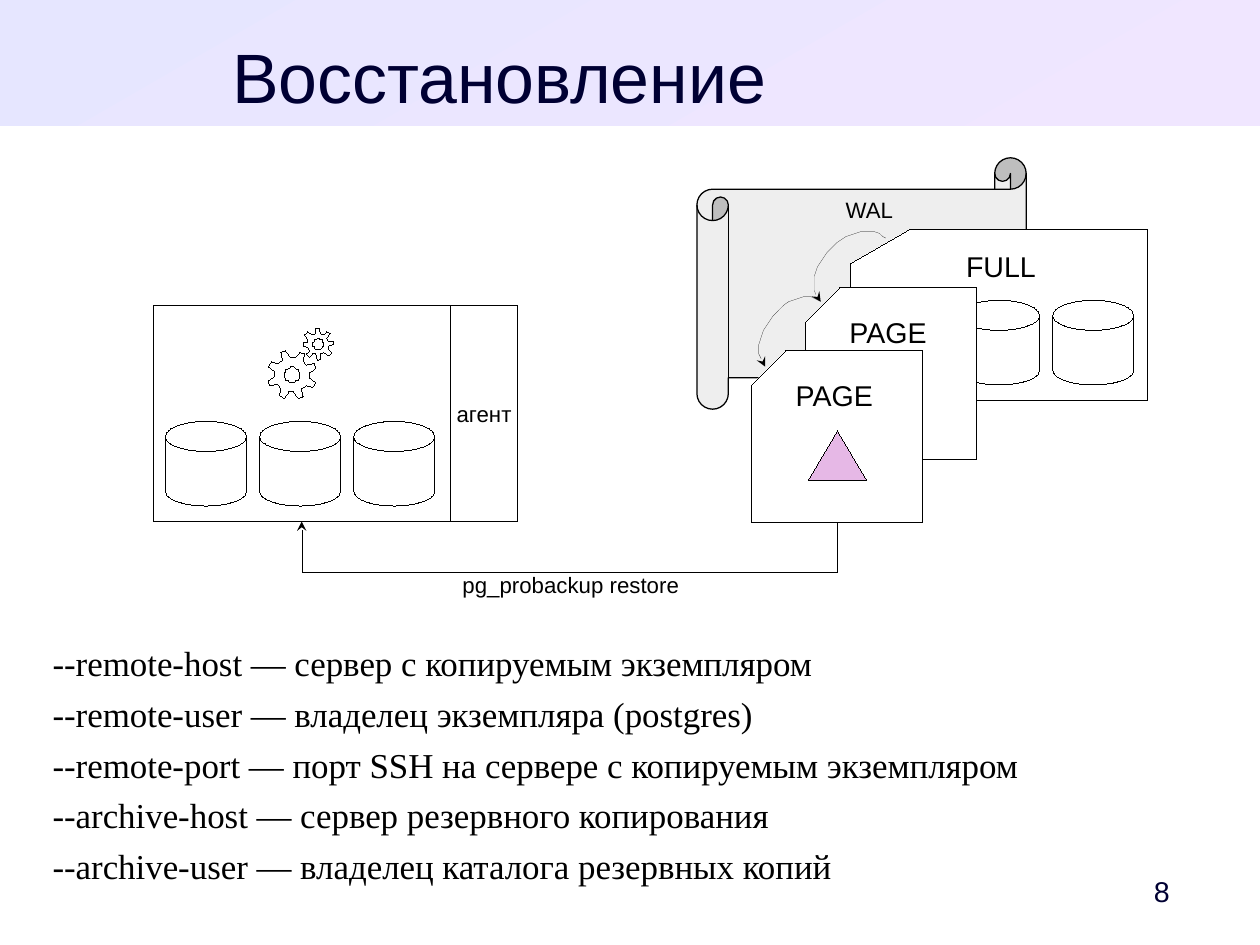
import math
from dataclasses import dataclass

import pptx
import pptx.dml.color
import pptx.enum.dml
import pptx.enum.shapes
import pptx.enum.text
import pptx.oxml
import pptx.oxml.ns
import pptx.util

Pt = pptx.util.Pt
RGBColor = pptx.dml.color.RGBColor
SHAPE = pptx.enum.shapes.MSO_SHAPE
ALIGN = pptx.enum.text.PP_ALIGN
ANCHOR = pptx.enum.text.MSO_ANCHOR

BLACK = RGBColor(0x00, 0x00, 0x00)
WHITE = RGBColor(0xFF, 0xFF, 0xFF)
NAVY = RGBColor(0x00, 0x00, 0x33)
PAPER = RGBColor(0xEE, 0xEE, 0xEE)
PINK = RGBColor(0xE6, 0xB8, 0xE6)
BAND_COLORS = (RGBColor(0xE6, 0xE6, 0xFF), RGBColor(0xF0, 0xE6, 0xFF))
SLIDE_WIDTH, SLIDE_HEIGHT = 793.7, 595.28
CAN_PITCH = 59.3
CARD_HEIGHT = 108

OPTIONS = (
    "--remote-host — сервер с копируемым экземпляром",
    "--remote-user — владелец экземпляра (postgres)",
    "--remote-port — порт SSH на сервере с копируемым экземпляром",
    "--archive-host — сервер резервного копирования",
    "--archive-user — владелец каталога резервных копий",
)


@dataclass
class Box:
    left: float
    top: float
    width: float
    height: float

    def lengths(self) -> tuple:
        return Pt(self.left), Pt(self.top), Pt(self.width), Pt(self.height)


@dataclass
class TextStyle:
    size: float
    color: RGBColor = BLACK
    font: str = "Arial"
    align: ALIGN = ALIGN.CENTER
    anchor: ANCHOR = ANCHOR.TOP
    margins: tuple = (7.2, 3.6, 7.2, 3.6)
    wrap: bool = True
    space_after: float = 0


@dataclass
class Card:
    box: Box
    label: str
    label_left: float
    label_top: float


@dataclass
class Gear:
    x: float
    y: float
    tip: float
    root: float
    hole: float
    turn: float


@dataclass
class Arc:
    """Half an ellipse around (x, y): half the chord, then the bulge."""
    x: float
    y: float
    chord: tuple
    bulge: tuple


CARD_LABEL = TextStyle(18)
SMALL_LABEL = TextStyle(14)
FULL_CARD = Card(Box(535.7, 144.5, 187.2, CARD_HEIGHT), "FULL", 592.4, 153.2)
PAGE_CARDS = (
    Card(Box(507.4, 181.4, 108, CARD_HEIGHT), "PAGE", 521.3, 194.8),
    Card(Box(473.2, 221, 108, CARD_HEIGHT), "PAGE", 487.4, 234.4),
)
GEARS = (
    Gear(184, 236.1, 15.4, 11.1, 5, -110),
    Gear(200.5, 216.7, 9.9, 6.8, 3.4, -94),
)
ARCS = (
    Arc(537.5, 170.3, (20.5, -19.8), (-13.7, -14.4)),
    Arc(499.7, 210.6, (17.3, -20.5), (-13, -11.5)),
)


def write_text(shape, lines: tuple, style: TextStyle) -> None:
    frame = shape.text_frame
    frame.word_wrap = style.wrap
    frame.auto_size = pptx.enum.text.MSO_AUTO_SIZE.NONE
    frame.vertical_anchor = style.anchor
    (frame.margin_left, frame.margin_top,
     frame.margin_right, frame.margin_bottom) = map(Pt, style.margins)
    for index, line in enumerate(lines):
        paragraph = frame.add_paragraph() if index else frame.paragraphs[0]
        paragraph.alignment = style.align
        paragraph.space_before = Pt(0)
        paragraph.space_after = Pt(style.space_after)
        run = paragraph.add_run()
        run.text = line
        run.font.name = style.font
        run.font.size = Pt(style.size)
        run.font.color.rgb = style.color


def add_text(slide, box: Box, lines: tuple, style: TextStyle) -> None:
    write_text(slide.shapes.add_textbox(*box.lengths()), lines, style)


def draw_line(shape, width: float = 0) -> None:
    """Set a black line; a zero width is written out, since it means a hairline."""
    shape.line.color.rgb = BLACK
    shape.line._get_or_add_ln().set("w", str(int(Pt(width))))


def outline(shape, fill: RGBColor = WHITE, width: float = 0) -> None:
    shape.shadow.inherit = False
    shape.fill.solid()
    shape.fill.fore_color.rgb = fill
    draw_line(shape, width)


def add_outlined(slide, kind: SHAPE, box: Box, fill: RGBColor = WHITE, width: float = 0):
    shape = slide.shapes.add_shape(kind, *box.lengths())
    outline(shape, fill, width)
    return shape


def add_cans(slide, left: float, top: float, count: int) -> None:
    for index in range(count):
        box = Box(left + index * CAN_PITCH, top, 51.1, 53.3)
        add_outlined(slide, SHAPE.CAN, box).adjustments[0] = 0.37


def add_card_label(slide, card: Card) -> None:
    add_text(slide, Box(card.label_left, card.label_top, 76.3, 27.4), (card.label,), CARD_LABEL)


def add_triangle(slide, card: Card) -> None:
    add_outlined(slide, SHAPE.ISOSCELES_TRIANGLE,
                 Box(card.box.left + 36, card.box.top + 50.4, 36.7, 31), PINK)


def polar(gear: Gear, radius: float, degrees: float) -> tuple:
    angle = math.radians(degrees)
    return gear.x + radius * math.cos(angle), gear.y + radius * math.sin(angle)


def add_gear(slide, gear: Gear) -> None:
    profile = ((gear.root, -13), (gear.tip, -6), (gear.tip, 6), (gear.root, 13))
    rim = [polar(gear, radius, gear.turn + 45 * tooth + shift)
           for tooth in range(8) for radius, shift in profile]
    hole = [polar(gear, gear.hole, -15 * step) for step in range(24)]
    builder = slide.shapes.build_freeform(*rim[0], scale=float(Pt(1)))
    builder.add_line_segments(rim[1:], close=True)
    builder.move_to(*hole[0])
    builder.add_line_segments(hole[1:], close=True)
    outline(builder.convert_to_shape())


def add_arrowhead(shape, end: str) -> None:
    """Put a stealth arrowhead at headEnd or tailEnd."""
    head = pptx.oxml.parse_xml(f'<a:{end} {pptx.oxml.ns.nsdecls("a")} type="stealth"/>')
    shape.line._get_or_add_ln().append(head)


def add_arc(slide, arc: Arc) -> None:
    points = []
    for step in range(25):
        angle = math.pi * step / 24
        along, out = math.cos(angle), math.sin(angle)
        points.append((arc.x + along * arc.chord[0] + out * arc.bulge[0],
                       arc.y + along * arc.chord[1] + out * arc.bulge[1]))
    builder = slide.shapes.build_freeform(*points[0], scale=float(Pt(1)))
    builder.add_line_segments(points[1:], close=False)
    shape = builder.convert_to_shape()
    outline(shape)
    shape.fill.background()
    add_arrowhead(shape, "tailEnd")


def add_restore_arrow(slide) -> None:
    """Draw the elbow that leaves the front page downwards and enters the server."""
    left, right, level, drop = 190.1, 527.2, 329, 32.2
    span, middle = right - left, (left + right) / 2
    arrow = slide.shapes.add_connector(
        pptx.enum.shapes.MSO_CONNECTOR.ELBOW, Pt(middle - 0.5), Pt(level - span / 2),
        Pt(middle + 0.5), Pt(level + span / 2))
    properties = arrow.element.spPr
    properties.xfrm.set("rot", str(270 * 60000))
    properties.xfrm.set("flipH", "1")
    guide = pptx.oxml.parse_xml(
        f'<a:gd {pptx.oxml.ns.nsdecls("a")} name="adj1" fmla="val {round(drop * 100000)}"/>')
    properties.find(pptx.oxml.ns.qn("a:prstGeom")).get_or_add_avLst().append(guide)
    draw_line(arrow)
    add_arrowhead(arrow, "headEnd")
    properties.append(pptx.oxml.parse_xml(f'<a:effectLst {pptx.oxml.ns.nsdecls("a")}/>'))


def add_header(slide) -> None:
    band = slide.shapes.add_shape(SHAPE.RECTANGLE, *Box(0, 0, SLIDE_WIDTH, 79.2).lengths())
    band.shadow.inherit = False
    band.line.fill.background()
    band.fill.gradient()
    band.fill.gradient_angle = 300
    for stop, color in zip(band.fill.gradient_stops, BAND_COLORS):
        stop.color.rgb = color
    slide.shapes.element.insert(2, band.element)
    title = slide.shapes.title
    title.left, title.top, title.width, title.height = Box(33.8, 20.9, 561.6, 49).lengths()
    write_text(title, ("Восстановление",), TextStyle(44, NAVY, margins=(0, 0, 0, 0)))


def add_backups(slide) -> None:
    scroll = add_outlined(slide, SHAPE.HORIZONTAL_SCROLL, Box(439, 99.4, 207.4, 158.4), PAPER, 0.79)
    write_text(scroll, ("WAL",), TextStyle(14, margins=(7.2, 4.3, 7.2, 3.6), wrap=False))
    add_outlined(slide, SHAPE.FLOWCHART_CARD, FULL_CARD.box)
    add_cans(slide, 603.8, 189.2, 2)
    add_card_label(slide, FULL_CARD)
    for card in PAGE_CARDS:
        add_outlined(slide, SHAPE.FLOWCHART_CARD, card.box)
        add_card_label(slide, card)
    add_triangle(slide, PAGE_CARDS[-1])
    for arc in ARCS:
        add_arc(slide, arc)


def add_server(slide) -> None:
    add_outlined(slide, SHAPE.RECTANGLE, Box(96.5, 192.6, 187.2, 136))
    add_cans(slide, 104.2, 265.5, 3)
    for gear in GEARS:
        add_gear(slide, gear)
    agent = add_outlined(slide, SHAPE.RECTANGLE, Box(283.7, 192.6, 42.5, 136))
    write_text(agent, ("агент",), TextStyle(14, anchor=ANCHOR.MIDDLE, wrap=False))


def main() -> None:
    presentation = pptx.Presentation()
    presentation.slide_width, presentation.slide_height = Pt(SLIDE_WIDTH), Pt(SLIDE_HEIGHT)
    slide = presentation.slides.add_slide(presentation.slide_layouts[5])
    add_header(slide)
    add_backups(slide)
    add_server(slide)
    add_restore_arrow(slide)
    add_text(slide, Box(195.1, 356.4, 329, 23), ("pg_probackup restore",), SMALL_LABEL)
    add_text(slide, Box(33.1, 403.9, 725.8, 157.7), OPTIONS, TextStyle(
        22, font="Times New Roman", align=ALIGN.LEFT, margins=(0, 0, 0, 0), space_after=5.7))
    add_text(slide, Box(697.7, 544.3, 62.6, 33.8), ("8",), TextStyle(
        18, NAVY, align=ALIGN.RIGHT, anchor=ANCHOR.MIDDLE, margins=(7.2, 3.6, 23.4, 3.6)))
    presentation.save("out.pptx")


if __name__ == "__main__":
    main()
